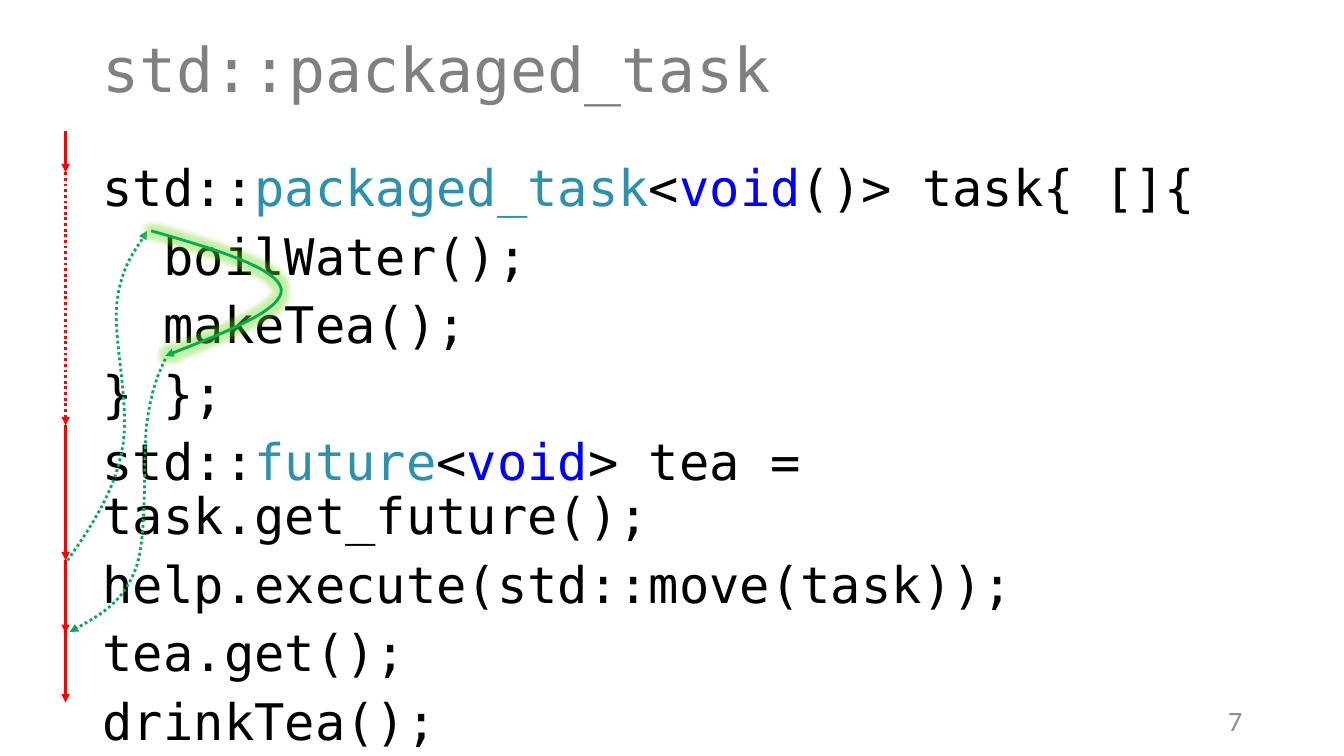
from pptx import Presentation
from pptx.dml.color import RGBColor as RGB
from pptx.enum.dml import MSO_LINE
from pptx.enum.shapes import MSO_CONNECTOR
from pptx.enum.text import MSO_ANCHOR as ANCHOR, PP_ALIGN as ALIGN
from pptx.oxml.ns import qn
from pptx.util import Inches, Pt
from lxml.etree import SubElement

THEME = dict(
    mono="DejaVu Sans Mono", sans="Calibri",
    title_size=44, code_size=36, number_size=20, line_width=2,
    title="808080", code="000000", type="2B91AF", keyword="0000FF", number="8C8C8C",
    main="FF0000", helper="00B050", main_glow="FF7A2E", helper_glow="70D820",
)

prs = Presentation()
prs.slide_width, prs.slide_height = Inches(13.33), Inches(7.5)
s = prs.slides.add_slide(prs.slide_layouts[6])

# Grid of 100 columns and 100 rows
COL, ROW = prs.slide_width / 100, prs.slide_height / 100


def add_text(paragraphs, box, *, size, font, color, anchor=ANCHOR.TOP,
             align=ALIGN.LEFT, spacing=None, before=0):
    """Each paragraph is a list of (text, theme colour or None) runs."""
    x, y, w, h = box
    sp = s.shapes.add_textbox(int(x * COL), int(y * ROW), int(w * COL), int(h * ROW))
    tf = sp.text_frame
    tf.word_wrap, tf.vertical_anchor = True, anchor
    for i, runs in enumerate(paragraphs):
        p = tf.add_paragraph() if i else tf.paragraphs[0]
        p.alignment, p.line_spacing, p.space_before = align, spacing, Pt(before)
        for text, accent in runs:
            r = p.add_run()
            r.text = text
            r.font.name, r.font.size = THEME[font], Pt(THEME[size])
            r.font.color.rgb = RGB.from_string(THEME[accent or color])


def style_arrow(sp, color, dotted=False, glow=None):
    sp.line.color.rgb = RGB.from_string(THEME[color])
    sp.line.width = Pt(THEME["line_width"])
    if dotted:
        sp.line.dash_style = MSO_LINE.ROUND_DOT
    spPr = sp._element.spPr
    SubElement(spPr.find(qn("a:ln")), qn("a:tailEnd"), type="triangle")
    effects = SubElement(spPr, qn("a:effectLst"))
    if glow:
        halo = SubElement(effects, qn("a:glow"), rad=str(Pt(8)))
        clr = SubElement(halo, qn("a:srgbClr"), val=THEME[glow])
        SubElement(clr, qn("a:alpha"), val="40000")


# Title, code and slide number
add_text([[("std::packaged_task", None)]], (6.9, 0, 86.27, 19.33), size="title_size",
         font="mono", color="title", anchor=ANCHOR.MIDDLE, spacing=0.9)

code = [
    [("std::", None), ("packaged_task", "type"), ("<", None), ("void", "keyword"),
     ("()> task{ []{", None)],
    [("  boilWater();", None)],
    [("  makeTea();", None)],
    [("} };", None)],
    [("std::", None), ("future", "type"), ("<", None), ("void", "keyword"),
     ("> tea = task.get_future();", None)],
    [("help.execute(std::move(task));", None)],
    [("tea.get();", None)],
    [("drinkTea();", None)],
]
add_text(code, (6.9, 20.93, 88.6, 71.87), size="code_size", font="mono",
         color="code", spacing=0.9, before=10)
add_text([[("7", None)]], (70.67, 92.67, 22.5, 5.33), size="number_size", font="sans",
         color="number", anchor=ANCHOR.MIDDLE, align=ALIGN.RIGHT)

# Main thread: arrows down the left margin (top row, bottom row, dotted, glow)
MAIN_X = int(4.88 * COL)
for top, bottom, dotted, glow in [
    (22.8, 56.27, True, None),
    (56.27, 74.13, False, None),
    (74.13, 83.73, False, None),
    (83.33, 92.93, False, None),
    (17.33, 22.8, False, "main_glow"),
]:
    line = s.shapes.add_connector(MSO_CONNECTOR.STRAIGHT, MAIN_X, int(top * ROW),
                                  MAIN_X, int(bottom * ROW))
    style_arrow(line, "main", dotted, glow)

# Helper thread: start point, then three Bézier points for each curve
hand_over = [(5.03, 74.13),
             (6.75, 69.73), (8.48, 65.2), (9.08, 59.6),
             (9.75, 53.87), (8.4, 44.93), (8.7, 40.13),
             (9, 35.33), (10.43, 32.27), (10.95, 30.53)]
run_task = [(11.25, 30.53),
            (15.98, 32.93), (20.7, 35.47), (20.93, 38.27),
            (21.08, 40.93), (16.73, 44), (12.3, 47.07)]
give_back = [(12.3, 47.47),
             (11.85, 49.2), (11.33, 51.07), (10.95, 55.6),
             (10.58, 60.27), (11.03, 70.4), (10.13, 75.07),
             (9.15, 79.73), (7.2, 81.6), (5.18, 83.6)]
for points, dotted, glow in [(hand_over, True, None),
                             (run_task, False, "helper_glow"),
                             (give_back, True, None)]:
    start, *rest = [(int(x * COL), int(y * ROW)) for x, y in points]
    builder = s.shapes.build_freeform(*start)
    builder.add_line_segments(rest, close=False)
    sp = builder.convert_to_shape()
    sp.fill.background()
    # Turn every three straight segments into one cubic curve
    outline = next(sp._element.iter(qn("a:path")))
    segments = outline.findall(qn("a:lnTo"))
    for i in range(0, len(segments), 3):
        curve = SubElement(outline, qn("a:cubicBezTo"))
        for segment in segments[i:i + 3]:
            curve.append(segment[0])
            outline.remove(segment)
    style_arrow(sp, "helper", dotted, glow)

prs.save("out.pptx")
